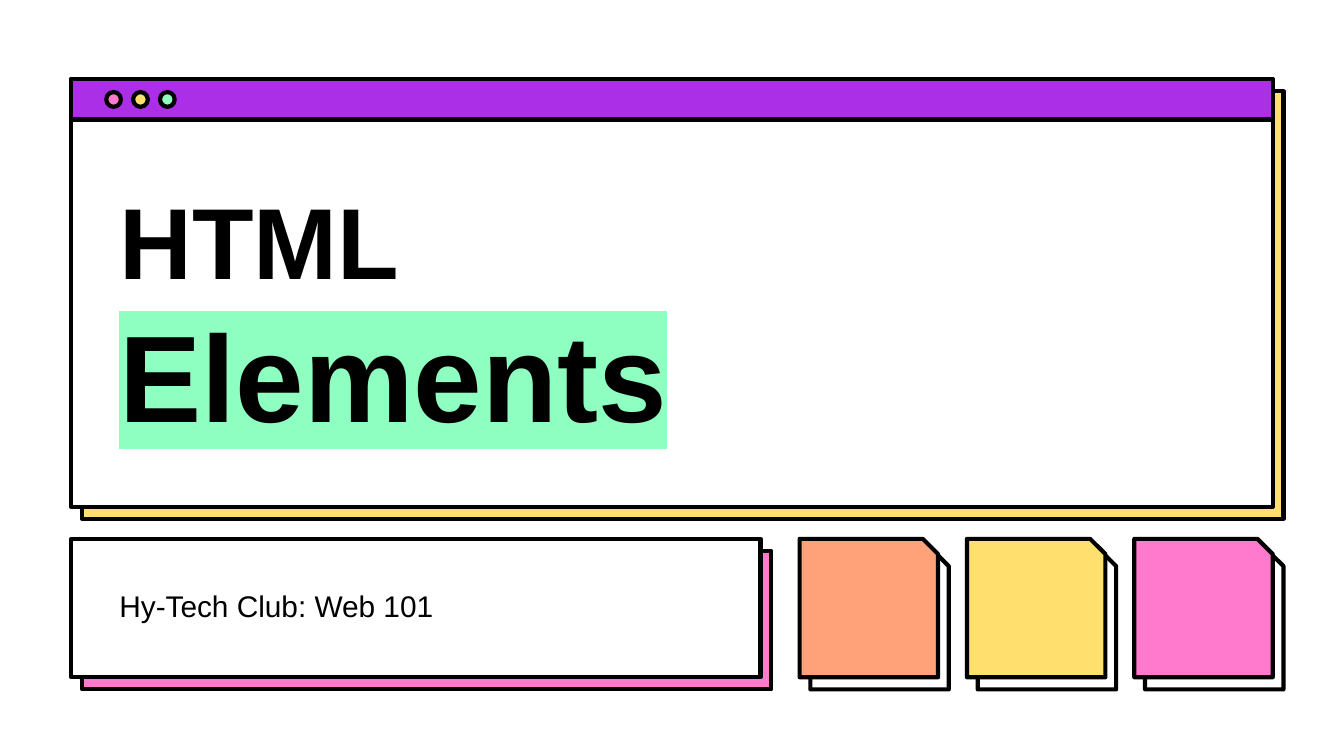
from lxml.etree import SubElement
from pptx import Presentation
from pptx.dml.color import RGBColor
from pptx.enum.shapes import MSO_SHAPE
from pptx.enum.text import MSO_ANCHOR
from pptx.oxml.ns import qn
from pptx.util import Inches, Pt

# Content
TITLE = [("HTML", "title", None), ("Elements", "accent", "mint")]
SUBTITLE = [("Hy-Tech Club: Web 101", "body", None)]
BUTTONS = ["pink", "yellow", "mint"]
CARDS = ["orange", "yellow", "pink"]

THEME = {
    "font": "Arial",
    "colors": {"black": "000000", "white": "FFFFFF", "yellow": "FFDF6D",
               "pink": "FF7ACD", "purple": "AA2FE6", "mint": "8FFFC1",
               "orange": "FFA27A"},
    "sizes": {"title": 54, "accent": 66, "body": 16},
    "line": 2.25,
}

# Layout, in inches
SLIDE_W = 10
SLIDE_H = SLIDE_W * 9 / 16
LEFT, TOP, WIDTH, HEIGHT = 0.53, 0.59, 8.94, 3.18
BAR_H = 0.3
ROW_TOP, ROW_H, CAPTION_W = 4.01, 1.03, 5.13
SHADOW_X, SHADOW_Y = 0.08, 0.09
DOT, DOT_LEFT, DOT_STEP = 0.11, 0.79, 0.2
CARD_LEFT = 5.95
CARD_STEP = (LEFT + WIDTH - ROW_H - CARD_LEFT) / (len(CARDS) - 1)
SNIP = 0.11


def color(name):
    return RGBColor.from_string(THEME["colors"][name])


def add_box(s, kind, left, top, width, height, fill):
    sp = s.shapes.add_shape(kind, Inches(left), Inches(top),
                            Inches(width), Inches(height))
    sp.shadow.inherit = False
    sp.fill.solid()
    sp.fill.fore_color.rgb = color(fill)
    sp.line.color.rgb = color("black")
    sp.line.width = Pt(THEME["line"])
    if kind == MSO_SHAPE.SNIP_1_RECTANGLE:
        sp.adjustments[0] = SNIP


def add_raised(s, kind, left, top, width, height, fill, shade):
    add_box(s, kind, left + SHADOW_X, top + SHADOW_Y, width, height, shade)
    add_box(s, kind, left, top, width, height, fill)


def add_text(s, left, top, width, height, lines, anchor):
    tf = s.shapes.add_textbox(Inches(left), Inches(top),
                              Inches(width), Inches(height)).text_frame
    tf.word_wrap = True
    tf.vertical_anchor = anchor
    tf.margin_left = tf.margin_right = Inches(0.1)
    tf.margin_top = tf.margin_bottom = Inches(0.1)
    p = tf.paragraphs[0]
    for i, (text, size, highlight) in enumerate(lines):
        if i:
            p.add_line_break()
        r = p.add_run()
        r.text = text
        r.font.size = Pt(THEME["sizes"][size])
        r.font.bold = size != "body"
        r.font.color.rgb = color("black")
        if highlight:
            mark = SubElement(r.font._element, qn("a:highlight"))
            SubElement(mark, qn("a:srgbClr"), val=THEME["colors"][highlight])
        r.font.name = THEME["font"]


prs = Presentation()
prs.slide_width, prs.slide_height = Inches(SLIDE_W), Inches(SLIDE_H)
s = prs.slides.add_slide(prs.slide_layouts[6])

# Browser window and caption panel
add_raised(s, MSO_SHAPE.RECTANGLE, LEFT, TOP, WIDTH, HEIGHT, "white", "yellow")
add_raised(s, MSO_SHAPE.RECTANGLE, LEFT, ROW_TOP, CAPTION_W, ROW_H, "white", "pink")

# Title bar with window buttons
add_box(s, MSO_SHAPE.RECTANGLE, LEFT, TOP, WIDTH, BAR_H, "purple")
for i, fill in enumerate(BUTTONS):
    add_box(s, MSO_SHAPE.OVAL, DOT_LEFT + i * DOT_STEP,
            TOP + (BAR_H - DOT) / 2, DOT, DOT, fill)

# Title and subtitle
add_text(s, 0.79, 1.24, 8.43, 2.19, TITLE, MSO_ANCHOR.BOTTOM)
add_text(s, 0.79, 4.27, 4.54, 0.49, SUBTITLE, MSO_ANCHOR.TOP)

# Cards with a cut corner
for i, fill in enumerate(CARDS):
    add_raised(s, MSO_SHAPE.SNIP_1_RECTANGLE, CARD_LEFT + i * CARD_STEP,
               ROW_TOP, ROW_H, ROW_H, fill, "white")

prs.save("out.pptx")
